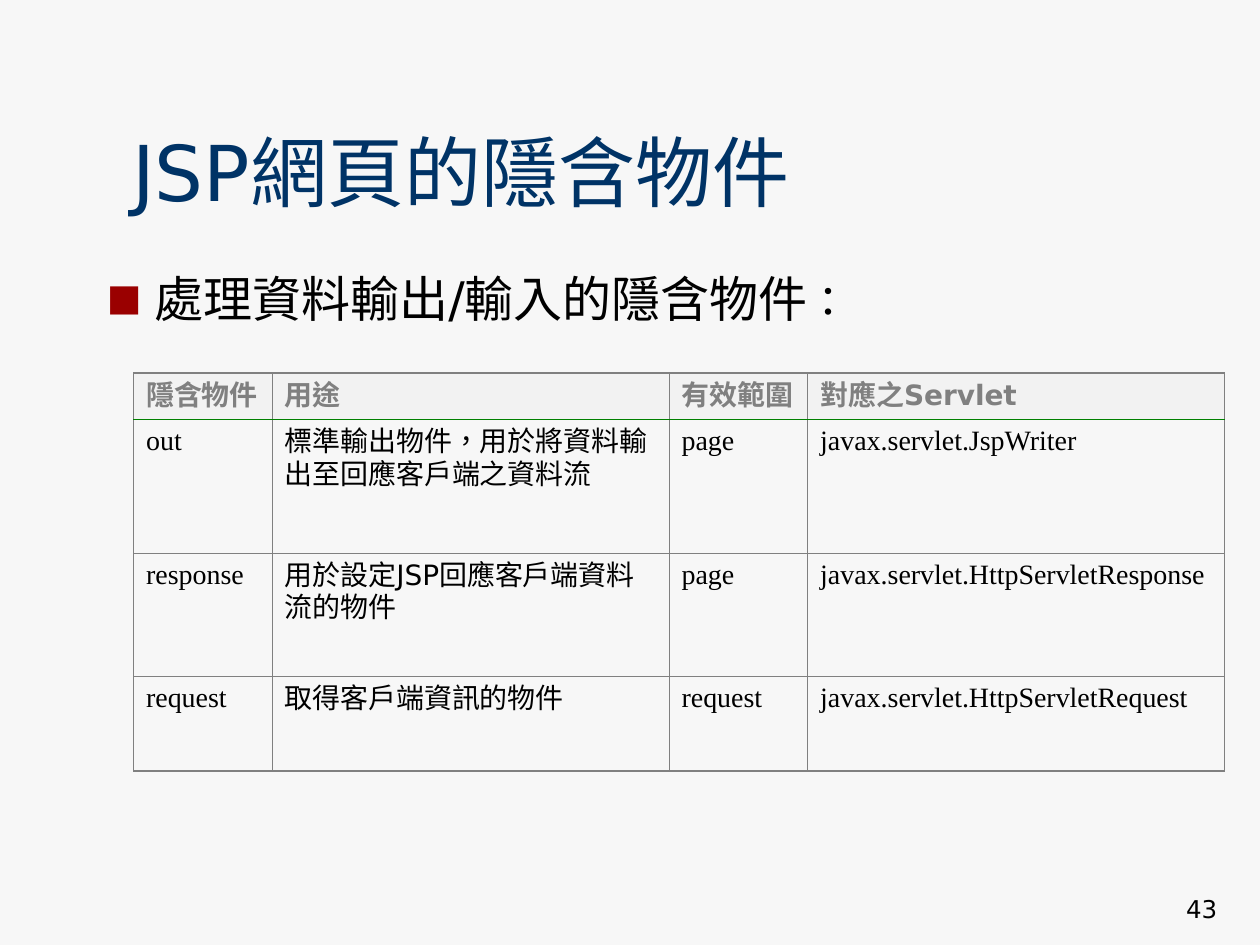
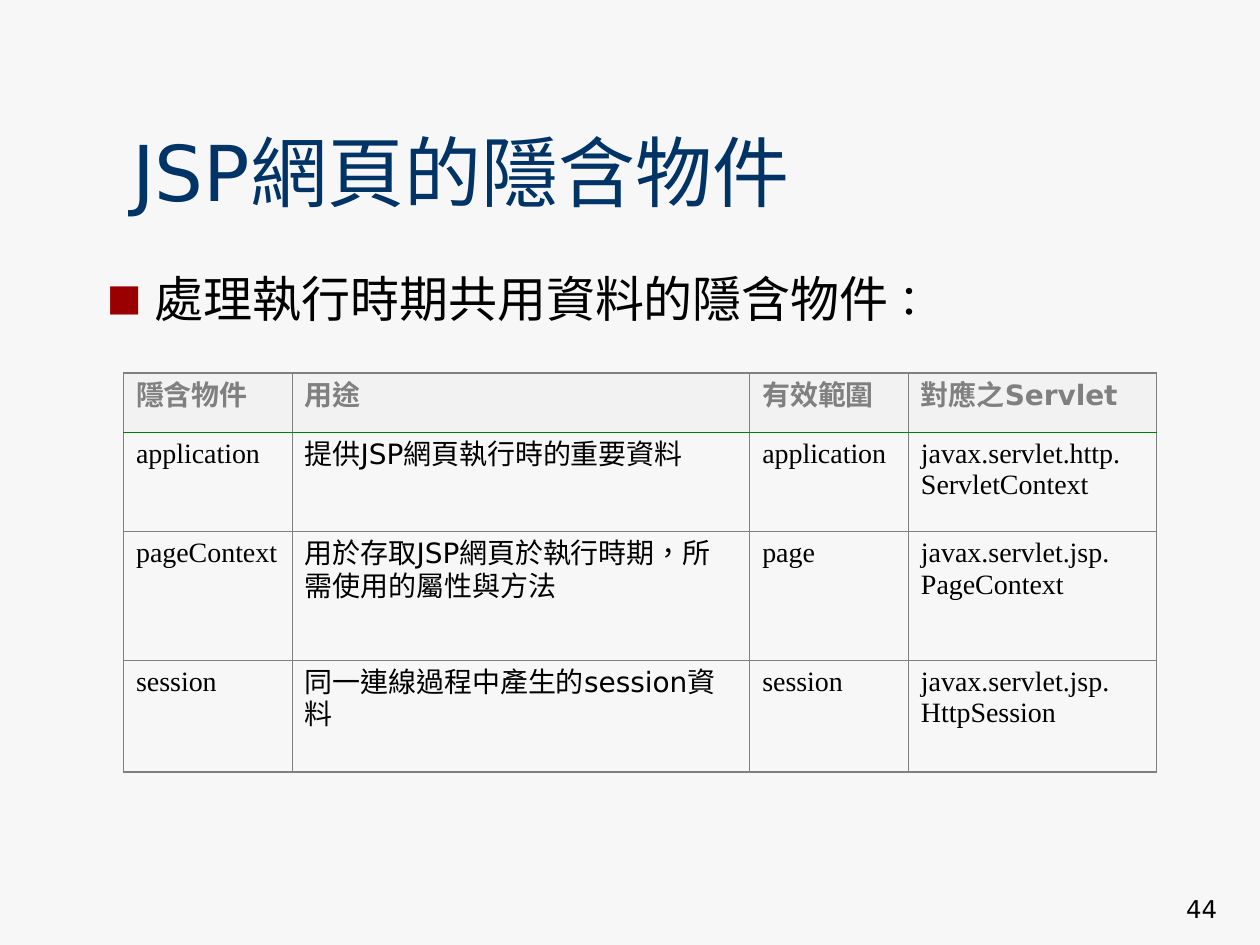
from dataclasses import dataclass
from itertools import groupby

from lxml.etree import SubElement
from pptx import Presentation
from pptx.dml.color import RGBColor
from pptx.enum.text import MSO_ANCHOR as Anchor, MSO_AUTO_SIZE as AutoSize, PP_ALIGN as Align
from pptx.oxml.ns import qn
from pptx.slide import Slide
from pptx.table import _Cell as Cell
from pptx.text.text import TextFrame
from pptx.util import Inches, Pt

BACKGROUND = RGBColor(0xF7, 0xF7, 0xF7)
HEADER_FILL = RGBColor(0xF2, 0xF2, 0xF2)
NAVY = RGBColor(0x00, 0x33, 0x66)
BLACK = RGBColor(0x00, 0x00, 0x00)
GRAY = RGBColor(0x80, 0x80, 0x80)
GREEN = RGBColor(0x00, 0x80, 0x00)
BULLET_RED = RGBColor(0x9A, 0x00, 0x00)
SANS = "DejaVu Sans"
SERIF = "Times New Roman"
THIN = Pt(0.45)
THICK = Pt(0.96)
TITLE = "JSP網頁的隱含物件"
HEADERS = ("隱含物件", "用途", "有效範圍", "對應之Servlet")


@dataclass(frozen=True)
class ObjectTable:
    left: float
    column_widths: tuple[float, ...]
    row_heights: tuple[float, ...]
    rows: tuple[tuple[str, ...], ...]


@dataclass(frozen=True)
class ObjectSlide:
    number: int
    topic: str
    table: ObjectTable


SLIDES = (
    ObjectSlide(43, "處理資料輸出/輸入的隱含物件", ObjectTable(
        1.06, (1.1, 3.15, 1.1, 3.31), (0.37, 1.06, 0.98, 0.75), (
            ("out", "標準輸出物件，用於將資料輸出至回應客戶端之資料流", "page",
             "javax.servlet.JspWriter"),
            ("response", "用於設定JSP回應客戶端資料流的物件", "page",
             "javax.servlet.HttpServletResponse"),
            ("request", "取得客戶端資訊的物件", "request",
             "javax.servlet.HttpServletRequest"),
        ))),
    ObjectSlide(44, "處理執行時期共用資料的隱含物件", ObjectTable(
        0.98, (1.34, 3.63, 1.26, 1.97), (0.47, 0.79, 1.02, 0.89), (
            ("application", "提供JSP網頁執行時的重要資料", "application",
             "javax.servlet.http.\nServletContext"),
            ("pageContext", "用於存取JSP網頁於執行時期，所需使用的屬性與方法", "page",
             "javax.servlet.jsp.\nPageContext"),
            ("session", "同一連線過程中產生的session資料", "session",
             "javax.servlet.jsp.\nHttpSession"),
        ))),
)


def write(frame: TextFrame, text: str, *, size: float, color: RGBColor = BLACK,
          font: str = SANS, bold: bool = False, align: Align = Align.LEFT) -> None:
    paragraph = frame.paragraphs[0]
    paragraph.alignment = align
    for index, line in enumerate(text.split("\n")):
        if index:
            paragraph.add_line_break()
        run = paragraph.add_run()
        run.text = line
        run.font.name = font
        run.font.size = Pt(size)
        run.font.bold = bold
        run.font.color.rgb = color
        properties = run.font._element
        properties.set("lang", "en-US" if line.isascii() else "zh-TW")
        SubElement(properties, qn("a:ea"), typeface=SANS)


def add_title(slide: Slide) -> None:
    title = slide.shapes.title
    title.left, title.top = Inches(0.95), Inches(0.94)
    title.width, title.height = Inches(8.93), Inches(0.83)
    frame = title.text_frame
    frame.vertical_anchor = Anchor.BOTTOM
    frame.auto_size = AutoSize.SHAPE_TO_FIT_TEXT
    write(frame, TITLE, size=44, color=NAVY)


def add_page_number(slide: Slide, number: int) -> None:
    box = slide.shapes.add_textbox(Inches(7.68), Inches(6.88), Inches(2.08), Inches(0.5))
    frame = box.text_frame
    frame.word_wrap = True
    frame.vertical_anchor = Anchor.BOTTOM
    write(frame, str(number), size=14, align=Align.RIGHT)


def add_topic(slide: Slide, topic: str) -> None:
    box = slide.shapes.add_textbox(Inches(0.75), Inches(2.08), Inches(8.43), Inches(4.58))
    frame = box.text_frame
    frame.word_wrap = True
    write(frame, topic, size=28)
    write(frame, "：", size=24)
    paragraph = frame.paragraphs[0]
    paragraph.space_before = Pt(6)
    properties = paragraph._p.get_or_add_pPr()
    properties.set("marL", str(Inches(0.38)))
    properties.set("indent", str(-Inches(0.38)))
    bullet_color = SubElement(properties, qn("a:buClr"))
    SubElement(bullet_color, qn("a:srgbClr"), val=str(BULLET_RED))
    SubElement(properties, qn("a:buSzPct"), val="75000")
    SubElement(properties, qn("a:buFont"), typeface=SANS)
    SubElement(properties, qn("a:buChar"), char="■")


def set_borders(cell: Cell, top: tuple[RGBColor, int], bottom: tuple[RGBColor, int]) -> None:
    side = (GRAY, THIN)
    properties = cell._tc.get_or_add_tcPr()
    for tag, (color, width) in (("lnL", side), ("lnR", side), ("lnT", top), ("lnB", bottom)):
        line = SubElement(properties, qn(f"a:{tag}"), w=str(width))
        fill = SubElement(line, qn("a:solidFill"))
        SubElement(fill, qn("a:srgbClr"), val=str(color))


def write_cell(cell: Cell, text: str, header: bool) -> None:
    for is_latin, letters in groupby(text, str.isascii):
        write(cell.text_frame, "".join(letters), size=16, bold=header,
              color=GRAY if header else BLACK,
              font=SANS if is_latin and not text.isascii() else SERIF)


def add_object_table(slide: Slide, content: ObjectTable) -> None:
    rows = (HEADERS, *content.rows)
    table = slide.shapes.add_table(
        len(rows), len(HEADERS), Inches(content.left), Inches(2.96),
        Inches(sum(content.column_widths)), Inches(sum(content.row_heights))).table
    table.first_row = table.horz_banding = False
    for column, width in zip(table.columns, content.column_widths):
        column.width = Inches(width)
    for row, height in zip(table.rows, content.row_heights):
        row.height = Inches(height)
    edges = [(GRAY, THIN)] * (len(rows) + 1)
    edges[0] = edges[-1] = (GRAY, THICK)
    edges[1] = (GREEN, THIN)
    for row_index, texts in enumerate(rows):
        for column_index, text in enumerate(texts):
            cell = table.cell(row_index, column_index)
            set_borders(cell, edges[row_index], edges[row_index + 1])
            if row_index == 0:
                cell.fill.solid()
                cell.fill.fore_color.rgb = HEADER_FILL
            else:
                cell.fill.background()
            write_cell(cell, text, header=row_index == 0)


def main() -> None:
    presentation = Presentation()
    presentation.slide_width, presentation.slide_height = Inches(10), Inches(7.5)
    background = presentation.slide_master.background.fill
    background.solid()
    background.fore_color.rgb = BACKGROUND
    title_only = presentation.slide_layouts[5]
    for content in SLIDES:
        slide = presentation.slides.add_slide(title_only)
        add_page_number(slide, content.number)
        add_title(slide)
        add_topic(slide, content.topic)
        add_object_table(slide, content.table)
    presentation.save("out.pptx")


if __name__ == "__main__":
    main()
